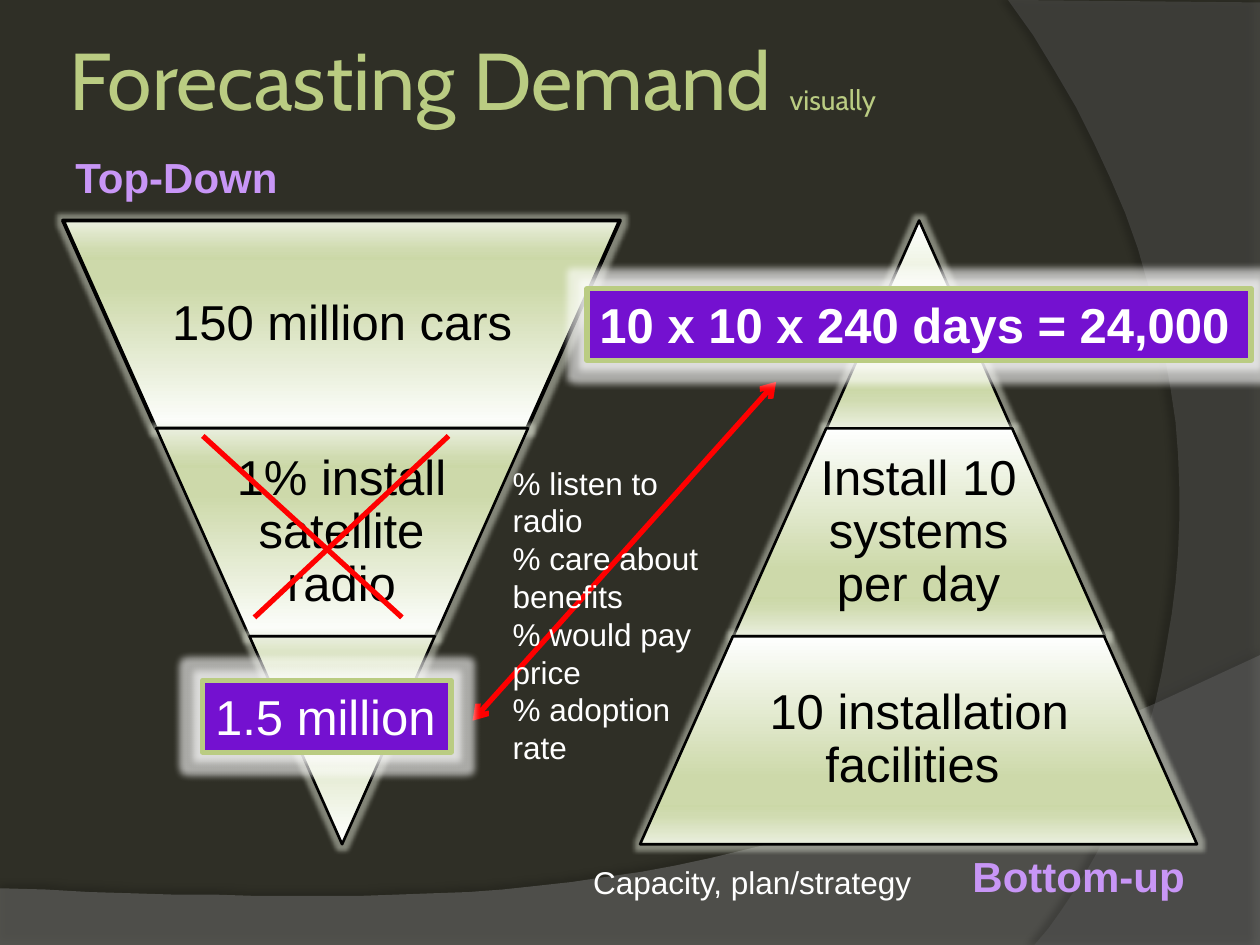
from dataclasses import dataclass

from lxml.etree import SubElement
from pptx import Presentation
from pptx.dml.color import RGBColor
from pptx.enum.shapes import MSO_CONNECTOR, MSO_SHAPE
from pptx.enum.text import MSO_ANCHOR, MSO_AUTO_SIZE, PP_ALIGN
from pptx.oxml import parse_xml
from pptx.oxml.ns import nsdecls, qn
from pptx.util import Emu, Pt

PX = 9144  # 100 px to the inch
DARK = RGBColor(0x2F, 0x2F, 0x26)
GREEN = RGBColor(0xBA, 0xCC, 0x82)
LILAC = RGBColor(0xC8, 0x96, 0xF6)
PURPLE = RGBColor(0x74, 0x11, 0xD0)
RED = RGBColor(0xFF, 0x00, 0x00)
BLACK = RGBColor(0x00, 0x00, 0x00)
WHITE = RGBColor(0xFF, 0xFF, 0xFF)
WAVE_GRAY = RGBColor(0x7F, 0x7F, 0x7F)
ARC_GRAY = RGBColor(0x5E, 0x5E, 0x5E)
PALE = RGBColor(0xEA, 0xEF, 0xDE)
BAND_STOPS = (
    (0, RGBColor(0xFE, 0xFF, 0xFE)), (68, RGBColor(0xCD, 0xD9, 0xAA)),
    (81, RGBColor(0xCB, 0xD8, 0xA7)), (86, RGBColor(0xD0, 0xDB, 0xB0)), (100, PALE),
)
TOP, BAND_HEIGHT, BASE_WIDTH = 175, 165, 442


@dataclass(frozen=True)
class Box:
    left: int
    top: int
    width: int
    height: int

    def emu(self) -> list:
        return [Emu(v * PX) for v in (self.left, self.top, self.width, self.height)]


@dataclass(frozen=True)
class Span:
    text: str
    size: int
    color: RGBColor
    bold: bool = False
    font: str = "Arial"


@dataclass(frozen=True)
class Label:
    box: Box
    lines: tuple
    wrap: bool = False


@dataclass(frozen=True)
class Band:
    """One slice of a triangle; level 0 is the tip, level 2 the base."""
    level: int
    text: str = ""
    outline: float = 1.5


@dataclass(frozen=True)
class Stroke:
    start: tuple
    end: tuple
    arrows: bool = False


def write(shape, lines, wrap, anchor=MSO_ANCHOR.TOP, inset=None,
          align=PP_ALIGN.LEFT, spacing=None, fit=MSO_AUTO_SIZE.SHAPE_TO_FIT_TEXT):
    """Fill a shape with paragraphs, each given as a tuple of spans."""
    frame = shape.text_frame
    formats = {"word_wrap": wrap, "vertical_anchor": anchor, "auto_size": fit}
    if inset is not None:
        formats |= {f"margin_{side}": Emu(inset * PX)
                    for side in ("left", "top", "right", "bottom")}
    for name, value in formats.items():
        setattr(frame, name, value)
    for index, spans in enumerate(lines):
        para = frame.add_paragraph() if index else frame.paragraphs[0]
        para.alignment = align
        para.line_spacing = spacing
        for span in spans:
            run = para.add_run()
            run.text = span.text
            run.font.color.rgb = span.color
            for name, value in {"name": span.font, "size": Pt(span.size),
                                "bold": span.bold}.items():
                setattr(run.font, name, value)


def add_effect(shape, tag: str, color: RGBColor, opacity: int, **settings: int):
    shape.shadow.inherit = False
    effects = shape._element.spPr.find(qn("a:effectLst"))
    effect = SubElement(effects, qn(tag), {k: str(v) for k, v in settings.items()})
    tint = SubElement(effect, qn("a:srgbClr"), val=str(color))
    SubElement(tint, qn("a:alpha"), val=str(opacity * 1000))


def curve(start, first, second, end, steps=32) -> list:
    """Points along a cubic curve, without its start."""
    points = []
    for step in range(1, steps + 1):
        t = step / steps
        weights = ((1 - t) ** 3, 3 * t * (1 - t) ** 2, 3 * t * t * (1 - t), t ** 3)
        points.append(tuple(
            sum(w * p[axis] for w, p in zip(weights, (start, first, second, end)))
            for axis in (0, 1)))
    return points


def add_swoosh(page, points, color, opacity, shade, distance, direction):
    builder = page.shapes.build_freeform(*points[0], scale=PX)
    builder.add_line_segments(points[1:], close=True)
    shape = builder.convert_to_shape()
    shape.fill.solid()
    shape.fill.fore_color.rgb = color
    tint = shape._element.spPr.find(qn("a:solidFill"))[0]
    SubElement(tint, qn("a:alpha"), val=str(opacity * 1000))
    shape.line.fill.background()
    add_effect(shape, "a:outerShdw", BLACK, shade, blurRad=Pt(4),
               dist=Pt(distance), dir=direction * 60000)


def add_label(page, label: Label):
    write(page.shapes.add_textbox(*label.box.emu()), label.lines, label.wrap)


def add_band(page, center: int, band: Band, inverted: bool):
    width = round(BASE_WIDTH * (band.level + 1) / 3)
    row = 2 - band.level if inverted else band.level
    top = TOP + row * BAND_HEIGHT
    box = Box(center - width // 2, top, width, BAND_HEIGHT)
    shape = page.shapes.add_shape(MSO_SHAPE.TRAPEZOID, *box.emu())
    shape.adjustments[0] = BASE_WIDTH / 6 / min(width, BAND_HEIGHT)
    shape.rotation = 180 if inverted else 0
    shape.fill.solid()
    stops = "".join(f'<a:gs pos="{at * 1000}"><a:srgbClr val="{color}"/></a:gs>'
                    for at, color in BAND_STOPS)
    gradient = parse_xml(f'<a:gradFill {nsdecls("a")} rotWithShape="1"><a:gsLst>{stops}'
                         '</a:gsLst><a:lin ang="5400000" scaled="0"/></a:gradFill>')
    properties = shape._element.spPr
    properties.replace(properties.find(qn("a:solidFill")), gradient)
    shape.line.color.rgb = BLACK
    shape.line.width = Pt(band.outline)
    add_effect(shape, "a:glow", PALE, 45, rad=Pt(5))
    if band.text:
        inner = round(width * 0.65)
        area = Box(center - inner // 2, top, inner, BAND_HEIGHT)
        write(page.shapes.add_textbox(*area.emu()), [(Span(band.text, 28, BLACK),)], True,
              MSO_ANCHOR.MIDDLE, 4, PP_ALIGN.CENTER, 0.9, MSO_AUTO_SIZE.NONE)


def add_stroke(page, stroke: Stroke):
    ends = [Emu(v * PX) for v in stroke.start + stroke.end]
    line = page.shapes.add_connector(MSO_CONNECTOR.STRAIGHT, *ends)
    line.line.color.rgb = RED
    line.line.width = Pt(3)
    if stroke.arrows:
        for tag in ("a:headEnd", "a:tailEnd"):
            SubElement(line.line._get_or_add_ln(), qn(tag), type="arrow")
    SubElement(line._element.spPr, qn("a:effectLst"))


def add_result(page, label: Label):
    shape = page.shapes.add_shape(MSO_SHAPE.RECTANGLE, *label.box.emu())
    shape.fill.solid()
    shape.fill.fore_color.rgb = PURPLE
    shape.line.color.rgb = GREEN
    shape.line.width = Pt(3)
    add_effect(shape, "a:glow", WHITE, 60, rad=Pt(8))
    write(shape, label.lines, label.wrap)


def main():
    deck = Presentation()
    deck.slide_width, deck.slide_height = Emu(1000 * PX), Emu(750 * PX)
    page = deck.slides.add_slide(deck.slide_layouts[6])
    page.background.fill.solid()
    page.background.fill.fore_color.rgb = DARK

    wave = [(0, 705), (0, 750), (1000, 750), (1000, 520)]
    wave += curve(wave[-1], (559, 729), (391, 719), (0, 705))
    add_swoosh(page, wave, WAVE_GRAY, 45, 35, 3.5, 270)
    arc = [(1000, 2), (1000, 750), (821, 750)]
    arc += curve(arc[-1], (935, 619), (1018, 300), (800, 0))
    add_swoosh(page, arc, ARC_GRAY, 40, 45, 4, 180)

    title = (Span("Forecasting Demand ", 46, GREEN, font="Cabin"),
             Span("visually", 16, GREEN, font="Cabin"))
    write(page.shapes.add_textbox(*Box(50, 0, 900, 125).emu()), [title], True,
          MSO_ANCHOR.MIDDLE, 5, fit=MSO_AUTO_SIZE.NONE)

    for band in (Band(2, "150 million cars", 2.25),
                 Band(1, "1% install satellite radio"), Band(0)):
        add_band(page, 271, band, inverted=True)
    for band in (Band(0), Band(1, "Install 10 systems per day"),
                 Band(2, "10 installation facilities ")):
        add_band(page, 729, band, inverted=False)

    add_stroke(page, Stroke((616, 303), (375, 572), arrows=True))
    factors = ("listen to radio", "care about benefits", "would pay price", "adoption rate")
    for label in (
        Label(Box(50, 115, 188, 50), ((Span("Top-Down", 24, LILAC, True),),)),
        Label(Box(762, 670, 190, 50), ((Span("Bottom-up", 24, LILAC, True),),)),
        Label(Box(397, 363, 193, 252),
              tuple((Span(f"% {factor}", 18, WHITE),) for factor in factors), True),
        Label(Box(461, 680, 284, 40), ((Span("Capacity, plan/strategy", 18, WHITE),),)),
    ):
        add_label(page, label)
    for stroke in (Stroke((161, 346), (319, 490)), Stroke((356, 346), (202, 490))):
        add_stroke(page, stroke)
    for result in (
        Label(Box(161, 540, 197, 57), ((Span("1.5 million", 28, WHITE),),)),
        Label(Box(466, 229, 527, 57),
              ((Span("10 x 10 x 240 days = 24,000", 28, WHITE, True),),)),
    ):
        add_result(page, result)
    deck.save("out.pptx")


if __name__ == "__main__":
    main()
